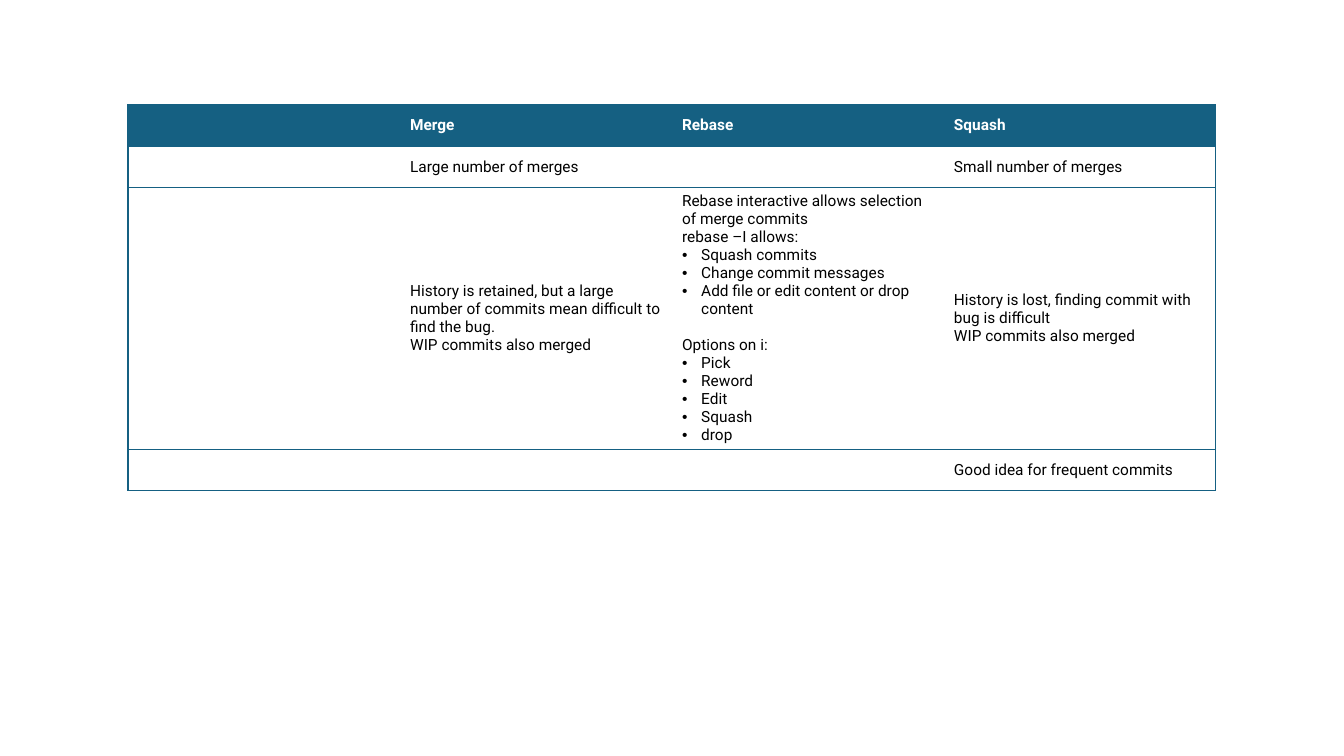
from dataclasses import dataclass

from lxml.etree import SubElement
from pptx import Presentation
from pptx.dml.color import RGBColor
from pptx.enum.text import MSO_ANCHOR
from pptx.oxml.ns import qn
from pptx.util import Inches, Pt


@dataclass(frozen=True)
class Theme:
    font: str = "Roboto"
    size: int = 11
    accent: str = "156082"
    header_text: str = "FFFFFF"
    body_text: str = "000000"
    border: float = 1
    bullet_indent: float = 0.19
    section_gap: float = 12.9


BULLET = "• "
SECTION = "Options on i:"
HEADINGS = ["", "Merge", "Rebase", "Squash"]
COMPARISON = [
    HEADINGS,
    ["", "Large number of merges", "", "Small number of merges"],
    [
        "",
        "History is retained, but a large number of commits mean difficult to find the bug.\n"
        "WIP commits also merged",
        "Rebase interactive allows selection of merge commits\n"
        "rebase –I allows:\n"
        "• Squash commits\n"
        "• Change commit messages\n"
        "• Add file or edit content or drop content\n"
        "Options on i:\n"
        "• Pick\n"
        "• Reword\n"
        "• Edit\n"
        "• Squash\n"
        "• drop",
        "History is lost, finding commit with bug is difficult\n"
        "WIP commits also merged",
    ],
    ["", "", "", "Good idea for frequent commits"],
]
ROW_HEIGHTS = [0.41, 0.41, 2.6, 0.41]


class SlideBuilder:
    """Draws styled elements on the current slide."""

    def __init__(self, slide, theme):
        self.slide = slide
        self.theme = theme

    def table(self, rows, left, top, width, heights):
        frame = self.slide.shapes.add_table(
            len(rows), len(rows[0]), Inches(left), Inches(top),
            Inches(width), Inches(sum(heights)))
        table = frame.table
        table.horz_banding = False
        for row, height in zip(table.rows, heights):
            row.height = Inches(height)
        last_column = len(rows[0]) - 1
        for row_index, texts in enumerate(rows):
            for column_index, text in enumerate(texts):
                cell = table.cell(row_index, column_index)
                self.cell_borders(cell, column_index == 0, column_index == last_column)
                self.cell_text(cell, text, row_index == 0)

    def cell_borders(self, cell, is_left, is_right):
        properties = cell._tc.get_or_add_tcPr()
        for side, visible in (("L", is_left), ("R", is_right), ("T", True), ("B", True)):
            line = SubElement(properties, qn(f"a:ln{side}"), w=str(Pt(self.theme.border)))
            if visible:
                fill = SubElement(line, qn("a:solidFill"))
                SubElement(fill, qn("a:srgbClr"), val=self.theme.accent)
            else:
                SubElement(line, qn("a:noFill"))

    def cell_text(self, cell, text, is_header):
        if is_header:
            cell.fill.solid()
            cell.fill.fore_color.rgb = RGBColor.from_string(self.theme.accent)
        else:
            cell.fill.background()
        cell.vertical_anchor = MSO_ANCHOR.MIDDLE
        cell.text_frame.text = text.replace(BULLET, "")
        color = self.theme.header_text if is_header else self.theme.body_text
        for paragraph, line in zip(cell.text_frame.paragraphs, text.split("\n")):
            if line.startswith(BULLET):
                self.bullet(paragraph)
            if line == SECTION:
                paragraph.space_before = Pt(self.theme.section_gap)
            font = paragraph.font
            font.size = Pt(self.theme.size)
            for span in paragraph.runs:
                span.font.name = self.theme.font
                span.font.size = Pt(self.theme.size)
                span.font.bold = is_header
                span.font.color.rgb = RGBColor.from_string(color)

    def bullet(self, paragraph):
        properties = paragraph._p.get_or_add_pPr()
        indent = Inches(self.theme.bullet_indent)
        properties.set("marL", str(indent))
        properties.set("indent", str(-indent))
        SubElement(properties, qn("a:buFont"), typeface="Arial")
        SubElement(properties, qn("a:buChar"), char=BULLET.strip())


def main():
    deck = Presentation()
    deck.slide_width = Inches(13.33)
    deck.slide_height = Inches(7.5)
    page = deck.slides.add_slide(deck.slide_layouts[6])
    builder = SlideBuilder(page, Theme())
    builder.table(COMPARISON, 1.27, 1.04, 10.79, ROW_HEIGHTS)
    deck.save("out.pptx")


if __name__ == "__main__":
    main()
